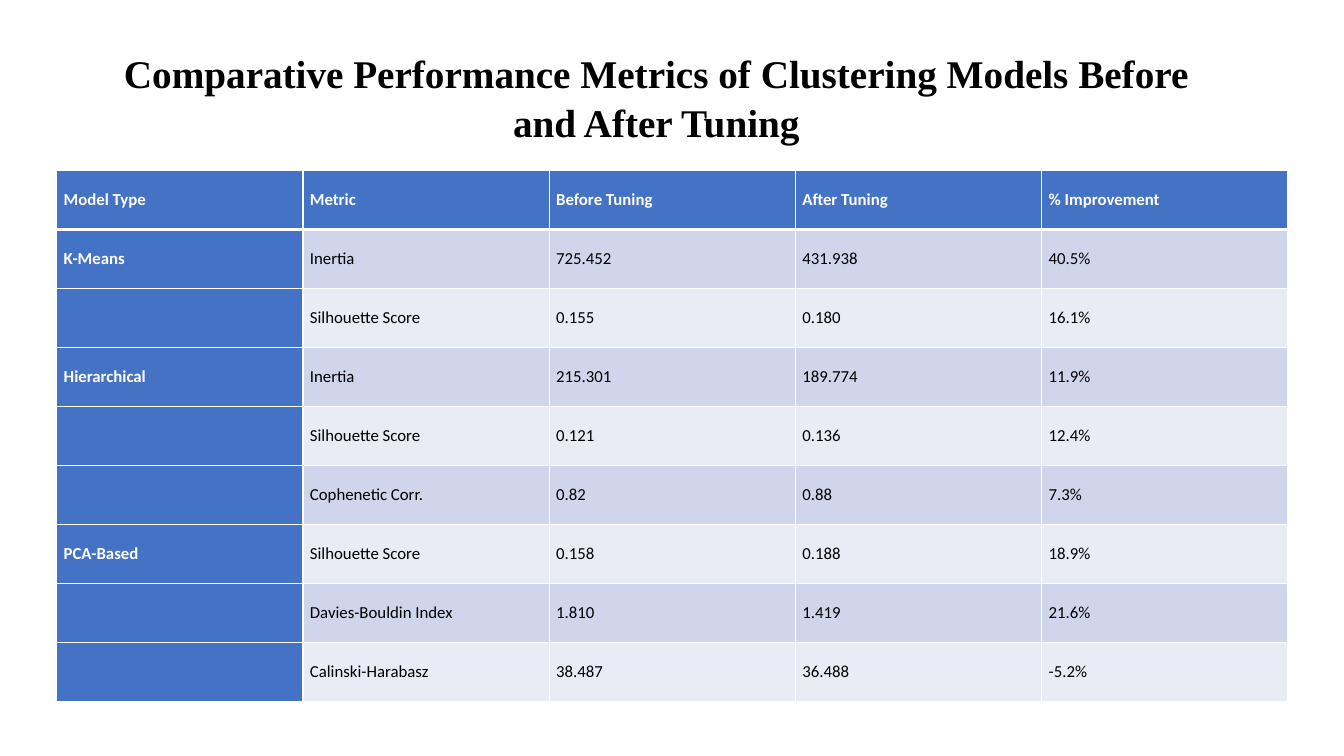
from lxml import etree
from pptx import Presentation
from pptx.dml.color import RGBColor
from pptx.enum import text
from pptx.oxml import ns
from pptx.util import Pt

BLACK = RGBColor(0x00, 0x00, 0x00)
WHITE = RGBColor(0xFF, 0xFF, 0xFF)
BLUE = RGBColor(0x44, 0x72, 0xC4)
BANDS = [RGBColor(0xCF, 0xD5, 0xEA), RGBColor(0xE9, 0xEB, 0xF5)]

TITLE = "Comparative Performance Metrics of Clustering Models Before and After Tuning"
TITLE_FORMAT = {"name": "Times New Roman", "size": Pt(28), "bold": True}
CELL_FORMAT = {"name": "Calibri", "size": Pt(12)}
CELL_LAYOUT = {
    "margin_left": Pt(5), "margin_right": Pt(5),
    "margin_top": 0, "margin_bottom": 0,
    "vertical_anchor": text.MSO_ANCHOR.MIDDLE,
}

ROWS = [
    ("Model Type", "Metric", "Before Tuning", "After Tuning", "% Improvement"),
    ("K-Means", "Inertia", "725.452", "431.938", "40.5%"),
    ("", "Silhouette Score", "0.155", "0.180", "16.1%"),
    ("Hierarchical", "Inertia", "215.301", "189.774", "11.9%"),
    ("", "Silhouette Score", "0.121", "0.136", "12.4%"),
    ("", "Cophenetic Corr.", "0.82", "0.88", "7.3%"),
    ("PCA-Based", "Silhouette Score", "0.158", "0.188", "18.9%"),
    ("", "Davies-Bouldin Index", "1.810", "1.419", "21.6%"),
    ("", "Calinski-Harabasz", "38.487", "36.488", "-5.2%"),
]


def set_format(target, values):
    for name, value in values.items():
        setattr(target, name, value)


def set_borders(cell, widths):
    tcPr = cell._tc.get_or_add_tcPr()
    for side, width in widths.items():
        ln = etree.SubElement(tcPr, ns.qn(f"a:ln{side}"), w=str(Pt(width)))
        fill = etree.SubElement(ln, ns.qn("a:solidFill"))
        etree.SubElement(fill, ns.qn("a:srgbClr"), val=str(WHITE))


def add_title(slide, left, top, width, height):
    sp = slide.shapes.add_textbox(Pt(left), Pt(top), Pt(width), Pt(height))
    tf = sp.text_frame
    tf.word_wrap = True
    tf.auto_size = text.MSO_AUTO_SIZE.SHAPE_TO_FIT_TEXT
    p = tf.paragraphs[0]
    p.alignment = text.PP_ALIGN.CENTER
    p.line_spacing = 1.04
    r = p.add_run()
    r.text = TITLE
    set_format(r.font, TITLE_FORMAT)
    r.font.color.rgb = BLACK


def add_metrics_table(slide, left, top, width, height):
    n_rows, n_cols = len(ROWS), len(ROWS[0])
    table = slide.shapes.add_table(
        n_rows, n_cols, Pt(left), Pt(top), Pt(width), Pt(height)).table
    table.first_col = True
    for column in table.columns:
        column.width = Pt(width / n_cols)
    for row in table.rows:
        row.height = Pt(height / n_rows)

    for i, values in enumerate(ROWS):
        for j, value in enumerate(values):
            cell = table.cell(i, j)
            heading = i == 0 or j == 0
            set_format(cell, CELL_LAYOUT)
            # The rule under the header row is heavier
            set_borders(cell, {"L": 1, "R": 1, "T": 3 if i == 1 else 1,
                               "B": 3 if i == 0 else 1})
            cell.fill.solid()
            cell.fill.fore_color.rgb = BLUE if heading else BANDS[(i - 1) % 2]
            p = cell.text_frame.paragraphs[0]
            if value:
                p.add_run().text = value
            set_format(p.font, CELL_FORMAT)
            for r in p.runs:
                set_format(r.font, {**CELL_FORMAT, "bold": heading})
                r.font.color.rgb = WHITE if heading else BLACK


def main():
    prs = Presentation()
    prs.slide_width, prs.slide_height = Pt(960), Pt(540)
    slide = prs.slides.add_slide(prs.slide_layouts[6])
    # Metrics by model, then the heading above them
    add_metrics_table(slide, 40.5, 121.75, 879.5, 379.25)
    add_title(slide, 65.5, 30.25, 806.5, 75)
    prs.save("out.pptx")


if __name__ == "__main__":
    main()
